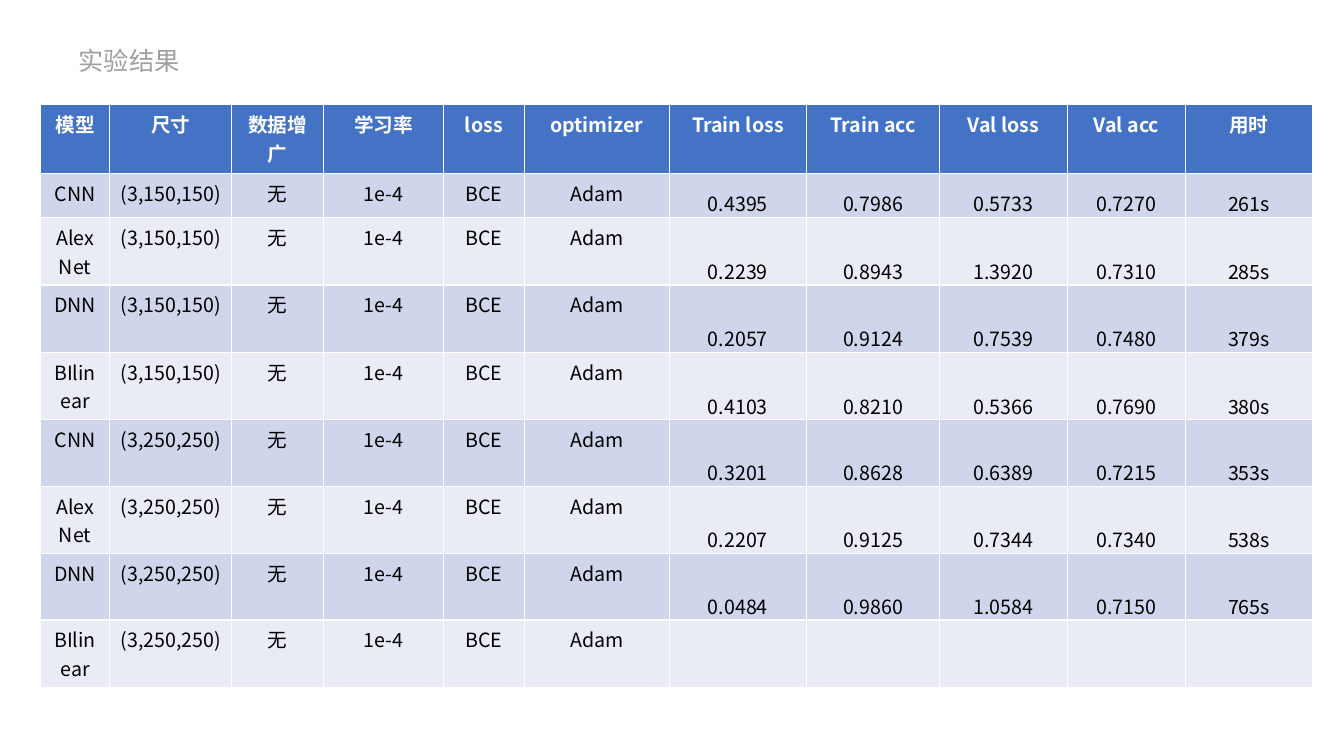
from itertools import product

from lxml.etree import SubElement
from pptx import Presentation
from pptx.dml.color import RGBColor
from pptx.enum.text import MSO_ANCHOR, PP_ALIGN
from pptx.oxml.ns import qn
from pptx.util import Inches, Pt

FONT = "Noto Sans CJK SC"
GREY = RGBColor(0x9E, 0x9F, 0xA0)
WHITE = RGBColor(0xFF, 0xFF, 0xFF)
BLACK = RGBColor(0x00, 0x00, 0x00)
HEADER_BLUE = RGBColor(0x44, 0x72, 0xC4)
BANDS = (RGBColor(0xCF, 0xD5, 0xEA), RGBColor(0xE9, 0xEB, 0xF5))

HEADERS = ["模型", "尺寸", "数据增广", "学习率", "loss", "optimizer",
           "Train loss", "Train acc", "Val loss", "Val acc", "用时"]
SETTINGS = ["无", "1e-4", "BCE", "Adam"]
FIRST_RESULT = 2 + len(SETTINGS)
SIZES = ["(3,150,150)", "(3,250,250)"]
MODELS = ["CNN", "AlexNet", "DNN", "BIlinear"]
RESULTS = [
    ["0.4395", "0.7986", "0.5733", "0.7270", "261s"],
    ["0.2239", "0.8943", "1.3920", "0.7310", "285s"],
    ["0.2057", "0.9124", "0.7539", "0.7480", "379s"],
    ["0.4103", "0.8210", "0.5366", "0.7690", "380s"],
    ["0.3201", "0.8628", "0.6389", "0.7215", "353s"],
    ["0.2207", "0.9125", "0.7344", "0.7340", "538s"],
    ["0.0484", "0.9860", "1.0584", "0.7150", "765s"],
    [""] * 5,
]
COLUMN_WIDTHS = [0.69, 1.21, 0.91, 1.19, 0.8, 1.44, 1.36, 1.32, 1.27, 1.17, 1.26]
ROW_HEIGHTS = [0.68, 0.44, 0.66, 0.67] + [0.66] * 5

RESULT_CELL = {
    "vertical_anchor": MSO_ANCHOR.BOTTOM,
    "margin_left": Inches(0.01),
    "margin_right": Inches(0.01),
    "margin_top": Inches(0.01),
    "margin_bottom": Inches(0),
}


def set_attributes(target, values):
    for name, value in values.items():
        setattr(target, name, value)


def write_text(para, text, size, color, bold=False):
    span = para.add_run()
    span.text = text
    set_attributes(span.font, {"name": FONT, "size": Pt(size), "bold": bold})
    span.font.color.rgb = color
    SubElement(span.font._element, qn("a:ea"), typeface=FONT)


def add_title(page, text):
    title = page.shapes.title
    set_attributes(title, {"left": Inches(0.68), "top": Inches(0.52),
                           "width": Inches(4.04), "height": Inches(0.3)})
    set_attributes(title.text_frame, {"vertical_anchor": MSO_ANCHOR.TOP,
                                      "word_wrap": True})
    para = title.text_frame.paragraphs[0]
    set_attributes(para, {"alignment": PP_ALIGN.LEFT, "line_spacing": Pt(13.2)})
    write_text(para, text, 18, GREY)


def fill_cell(cell, text, background, color, bold):
    cell.fill.solid()
    cell.fill.fore_color.rgb = background
    if text:
        para = cell.text_frame.paragraphs[0]
        para.alignment = PP_ALIGN.CENTER
        write_text(para, text, 14, color, bold)


def add_results_table(page, rows):
    frame = page.shapes.add_table(
        len(rows), len(HEADERS), Inches(0.4), Inches(1.04),
        Inches(sum(COLUMN_WIDTHS)), Inches(sum(ROW_HEIGHTS)))
    table = frame.table
    for column, width in zip(table.columns, COLUMN_WIDTHS):
        column.width = Inches(width)
    for row, height in zip(table.rows, ROW_HEIGHTS):
        row.height = Inches(height)
    for row_index, texts in enumerate(rows):
        is_header = row_index == 0
        background = HEADER_BLUE if is_header else BANDS[(row_index - 1) % 2]
        color = WHITE if is_header else BLACK
        for column_index, text in enumerate(texts):
            cell = table.cell(row_index, column_index)
            fill_cell(cell, text, background, color, is_header)
            if text and not is_header and column_index >= FIRST_RESULT:
                set_attributes(cell, RESULT_CELL)


def main():
    deck = Presentation()
    set_attributes(deck, {"slide_width": Inches(13.33), "slide_height": Inches(7.5)})
    page = deck.slides.add_slide(deck.slide_layouts.get_by_name("Title Only"))
    add_title(page, "实验结果")
    experiments = [[model, size, *SETTINGS, *results]
                   for (size, model), results in zip(product(SIZES, MODELS), RESULTS)]
    add_results_table(page, [HEADERS, *experiments])
    deck.save("out.pptx")


if __name__ == "__main__":
    main()
